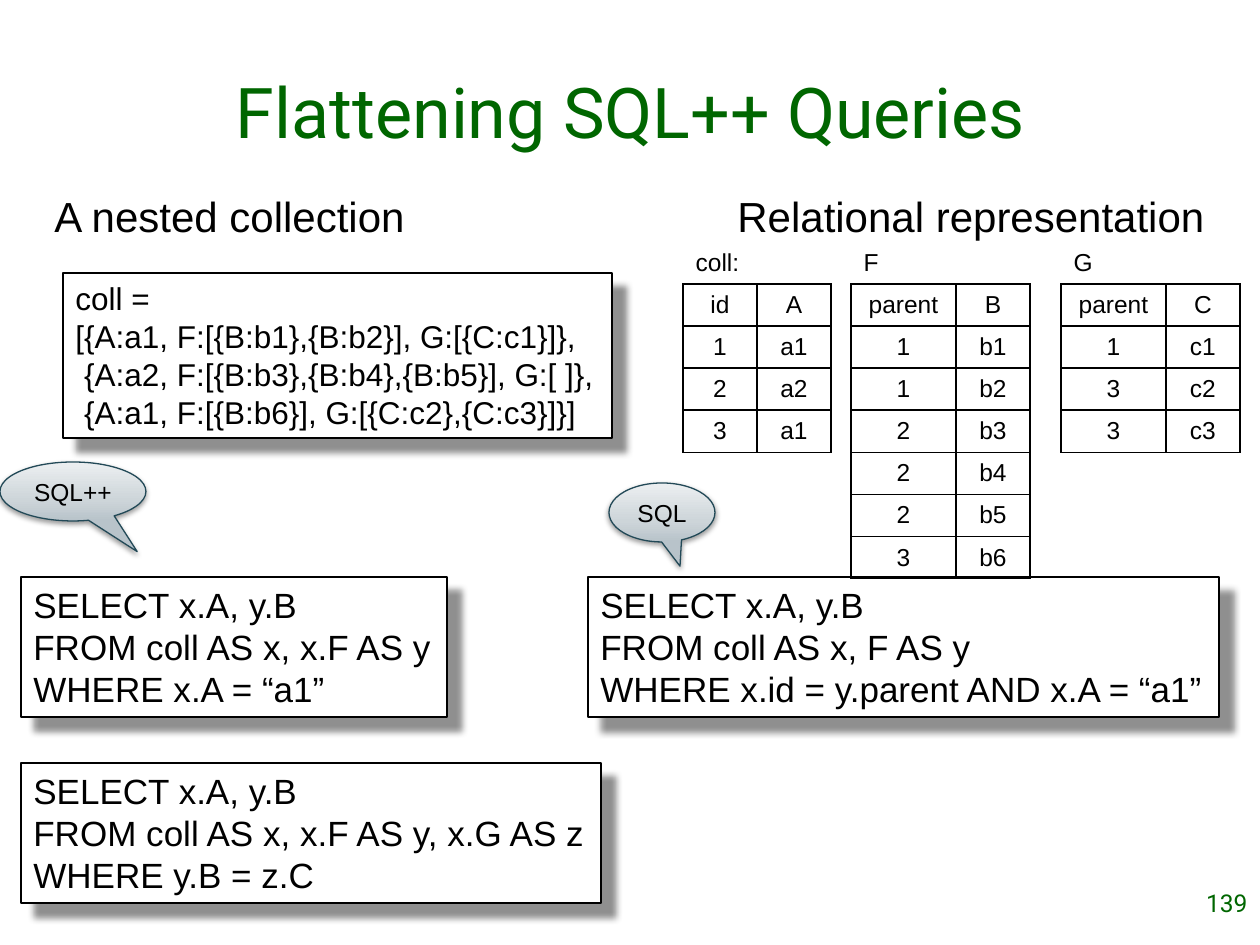
"""Build the slide on flattening SQL++ queries."""
from dataclasses import dataclass

from lxml import etree
from pptx import Presentation
from pptx.dml.color import RGBColor
from pptx.enum import shapes, text
from pptx.oxml import parse_xml
from pptx.oxml.ns import nsdecls, qn
from pptx.util import Emu, Pt

BLACK, WHITE, GREEN, TEAL = "000000", "FFFFFF", "006600", "224957"
CALLOUT_STOPS = ((0, "B8C3CA"), (35, "CDD5D9"), (100, "ECEFF1"))
ROW_HEIGHT = 42
TABLE_TOP = 242


@dataclass(frozen=True)
class Area:
    left: int
    top: int
    width: int
    height: int


@dataclass(frozen=True)
class Shadow:
    alpha: int
    blur: float
    distance: float
    angle: int


@dataclass(frozen=True)
class Label:
    area: Area
    words: str
    size: int = 24
    font: str = "Arial"
    color: str = BLACK
    align: text.PP_ALIGN = text.PP_ALIGN.LEFT


@dataclass(frozen=True)
class CodeBox:
    area: Area
    code: str
    size: int = 20
    wrap: bool = False


@dataclass(frozen=True)
class Callout:
    area: Area
    words: str
    tip: tuple[float, float]


@dataclass(frozen=True)
class Relation:
    left: int
    name: str
    widths: tuple[int, int]
    rows: tuple[tuple[str, str], ...]


CODE_SHADOW = Shadow(43, 4, 11, 45)
CALLOUT_SHADOW = Shadow(38, 3.1, 1.6, 90)

LABELS = (
    Label(Area(42, 184, 381, 63), "A nested collection"),
    Label(Area(725, 184, 498, 63), "Relational representation"),
    Label(Area(1187, 882, 73, 63), "139", 14, "Roboto", GREEN, text.PP_ALIGN.RIGHT),
)
CODE_BOXES = (
    CodeBox(Area(21, 577, 426, 140),
            "SELECT x.A, y.B\vFROM coll AS x, x.F AS y\nWHERE x.A = “a1”"),
    CodeBox(Area(588, 577, 631, 140),
            "SELECT x.A, y.B\nFROM coll AS x, F AS y\n"
            "WHERE x.id = y.parent AND x.A = “a1”"),
    CodeBox(Area(21, 763, 580, 140),
            "SELECT x.A, y.B\vFROM coll AS x, x.F AS y, x.G AS z\nWHERE y.B = z.C"),
    CodeBox(Area(63, 273, 549, 165),
            "coll =\v[{A:a1, F:[{B:b1},{B:b2}], G:[{C:c1}]}, \v"
            " {A:a2, F:[{B:b3},{B:b4},{B:b5}], G:[ ]},\v"
            " {A:a1, F:[{B:b6}], G:[{C:c2},{C:c3}]}]", 18, True),
)
CALLOUTS = (
    Callout(Area(0, 462, 146, 59), "SQL++", (0.44, 1.02)),
    Callout(Area(609, 483, 106, 59), "SQL", (0.17, 0.91)),
)
RELATIONS = (
    Relation(683, "coll:", (74, 74),
             (("id", "A"), ("1", "a1"), ("2", "a2"), ("3", "a1"))),
    Relation(851, "F", (105, 74),
             (("parent", "B"), ("1", "b1"), ("1", "b2"), ("2", "b3"),
              ("2", "b4"), ("2", "b5"), ("3", "b6"))),
    Relation(1061, "G", (105, 74),
             (("parent", "C"), ("1", "c1"), ("3", "c2"), ("3", "c3"))),
)


def px(length: int) -> Emu:
    """Turn px into EMU."""
    return Emu(round(length * 914400 / 126))


def place(area: Area) -> tuple[Emu, ...]:
    """Return the area's four lengths in EMU."""
    return tuple(px(n) for n in (area.left, area.top, area.width, area.height))


def color(value: str) -> RGBColor:
    """Turn a hex string into a colour."""
    return RGBColor.from_string(value)


def write(frame, words: str, size: int, font: str = "Arial", ink: str = BLACK,
          align: text.PP_ALIGN = text.PP_ALIGN.LEFT) -> None:
    """Fill a text frame with evenly formatted paragraphs."""
    frame.text = words
    for para in frame.paragraphs:
        para.alignment = align
        para.font.size = Pt(size)
        para.font.name = font
        para.font.color.rgb = color(ink)


def fit(frame, anchor: text.MSO_ANCHOR, wrap: bool = False) -> None:
    """Let a shape grow with its text."""
    frame.word_wrap = wrap
    frame.auto_size = text.MSO_AUTO_SIZE.SHAPE_TO_FIT_TEXT
    frame.vertical_anchor = anchor


def outline(shape, ink: str) -> None:
    """Give a shape a thin line."""
    shape.line.color.rgb = color(ink)
    shape.line.width = Pt(0.75)


def cast(shape, shadow: Shadow) -> None:
    """Replace the theme shadow with an outer one."""
    shape.shadow.inherit = False
    effects = shape._element.spPr.find(qn("a:effectLst"))
    effects.append(parse_xml(
        f'<a:outerShdw {nsdecls("a")} blurRad="{Pt(shadow.blur)}" '
        f'dist="{Pt(shadow.distance)}" dir="{shadow.angle * 60000}" '
        f'algn="tl" rotWithShape="0"><a:srgbClr val="{BLACK}">'
        f'<a:alpha val="{shadow.alpha * 1000}"/></a:srgbClr></a:outerShdw>'))


def draw_label(page, label: Label) -> None:
    """Draw a plain line of text."""
    box = page.shapes.add_textbox(*place(label.area))
    box.text_frame.word_wrap = label.align == text.PP_ALIGN.RIGHT
    write(box.text_frame, label.words, label.size, label.font, label.color, label.align)


def draw_code(page, item: CodeBox) -> None:
    """Draw a white code box with its shadow."""
    box = page.shapes.add_shape(shapes.MSO_SHAPE.RECTANGLE, *place(item.area))
    box.fill.solid()
    box.fill.fore_color.rgb = color(WHITE)
    outline(box, BLACK)
    cast(box, CODE_SHADOW)
    write(box.text_frame, item.code, item.size)
    fit(box.text_frame, text.MSO_ANCHOR.TOP, item.wrap)


def draw_callout(page, item: Callout) -> None:
    """Draw a shaded speech bubble."""
    bubble = page.shapes.add_shape(shapes.MSO_SHAPE.OVAL_CALLOUT, *place(item.area))
    bubble.adjustments[0], bubble.adjustments[1] = item.tip
    bubble.fill.background()
    stops = "".join(f'<a:gs pos="{at * 1000}"><a:srgbClr val="{ink}"/></a:gs>'
                    for at, ink in CALLOUT_STOPS)
    properties = bubble._element.spPr
    properties.replace(properties.find(qn("a:noFill")), parse_xml(
        f'<a:gradFill {nsdecls("a")} rotWithShape="1"><a:gsLst>{stops}</a:gsLst>'
        '<a:lin ang="16200000" scaled="0"/></a:gradFill>'))
    outline(bubble, TEAL)
    cast(bubble, CALLOUT_SHADOW)
    write(bubble.text_frame, item.words, 14, align=text.PP_ALIGN.CENTER)
    fit(bubble.text_frame, text.MSO_ANCHOR.MIDDLE)


def rule_cell(cell, sides: str) -> None:
    """Line the given sides of a cell and clear the others."""
    cell.fill.background()
    properties = cell._tc.get_or_add_tcPr()
    for index, side in enumerate("LRTB"):
        line = etree.Element(qn(f"a:ln{side}"), w=str(Pt(1)))
        if side in sides:
            fill = etree.SubElement(line, qn("a:solidFill"))
            etree.SubElement(fill, qn("a:srgbClr"), val=BLACK)
        else:
            etree.SubElement(line, qn("a:noFill"))
        properties.insert(index, line)


def draw_relation(page, relation: Relation) -> None:
    """Draw a relation as a table under its name."""
    rows = ((relation.name, ""), *relation.rows)
    area = Area(relation.left, TABLE_TOP, sum(relation.widths), ROW_HEIGHT * len(rows))
    table = page.shapes.add_table(len(rows), 2, *place(area)).table
    table.first_row = table.horz_banding = False
    for column, width in zip(table.columns, relation.widths):
        column.width = px(width)
    for r, values in enumerate(rows):
        table.rows[r].height = px(ROW_HEIGHT)
        for c, value in enumerate(values):
            cell = table.cell(r, c)
            align = text.PP_ALIGN.CENTER if r else text.PP_ALIGN.LEFT
            write(cell.text_frame, value, 14, align=align)
            cell.vertical_anchor = text.MSO_ANCHOR.MIDDLE
            rule_cell(cell, "LRTB" if r else "B")


def main() -> None:
    """Build and save the deck."""
    deck = Presentation()
    deck.slide_width, deck.slide_height = px(1260), px(945)
    page = deck.slides.add_slide(deck.slide_layouts[5])
    title = page.shapes.title
    title.left, title.top, title.width, title.height = place(Area(95, 32, 1071, 158))
    write(title.text_frame, "Flattening SQL++ Queries", 40, "Roboto", GREEN,
          text.PP_ALIGN.CENTER)
    title.text_frame.vertical_anchor = text.MSO_ANCHOR.MIDDLE
    for draw, items in ((draw_label, LABELS), (draw_code, CODE_BOXES),
                        (draw_callout, CALLOUTS), (draw_relation, RELATIONS)):
        for item in items:
            draw(page, item)
    deck.save("out.pptx")


if __name__ == "__main__":
    main()
